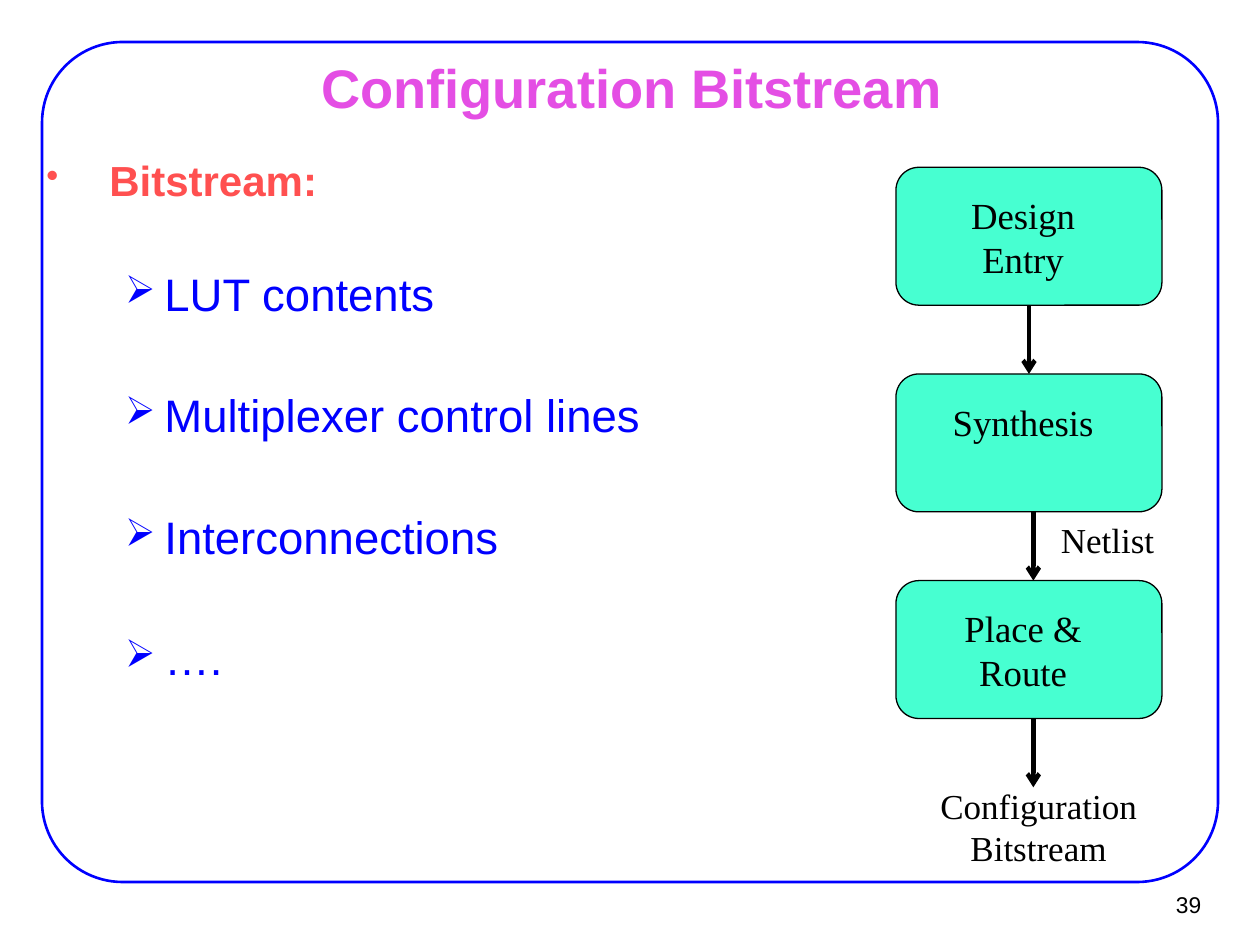
"""Build the Configuration Bitstream slide: a bullet list beside a design flow."""
from lxml import etree
from pptx import Presentation
from pptx.dml.color import RGBColor
from pptx.enum.shapes import MSO_CONNECTOR, MSO_SHAPE
from pptx.enum.text import MSO_ANCHOR, MSO_AUTO_SIZE, PP_ALIGN
from pptx.oxml.ns import qn
from pptx.util import Pt

ROUNDED = MSO_SHAPE.ROUNDED_RECTANGLE
STRAIGHT = MSO_CONNECTOR.STRAIGHT
MIDDLE = MSO_ANCHOR.MIDDLE
NO_FIT = MSO_AUTO_SIZE.NONE
LEFT, CENTER, RIGHT = PP_ALIGN.LEFT, PP_ALIGN.CENTER, PP_ALIGN.RIGHT
COLORS = {
    "frame": "0000FF",
    "title": "E44EE4",
    "heading": "FF5050",
    "item": "0000FF",
    "step": "47FFD1",
    "ink": "000000",
}


def style(paragraph, font_name, size, color, align, bold=False):
    """Set the font and alignment of a whole paragraph."""
    paragraph.alignment = align
    paragraph.font.name = font_name
    paragraph.font.size = Pt(size)
    paragraph.font.bold = bold
    paragraph.font.color.rgb = RGBColor.from_string(COLORS[color])


def add_label(page, text, left, top, width, height, size, font_name="Times New Roman", align=CENTER):
    """Add a wrapped text box holding one paragraph."""
    box = page.shapes.add_textbox(Pt(left), Pt(top), Pt(width), Pt(height))
    box.text_frame.word_wrap = True
    para = box.text_frame.paragraphs[0]
    para.text = text
    style(para, font_name, size, "ink", align)
    return box


deck = Presentation()
deck.slide_width, deck.slide_height = Pt(720), Pt(540)
page = deck.slides.add_slide(deck.slide_layouts[5])

frame = page.shapes.add_shape(ROUNDED, Pt(24), Pt(24), Pt(672), Pt(480))
frame.adjustments[0] = 0.096
frame.shadow.inherit = False
frame.fill.background()
frame.line.color.rgb = RGBColor.from_string(COLORS["frame"])
frame.line.width = Pt(1.5)

number = add_label(page, "39", 649.5, 503.5, 44, 26.5, 13, "Arial", RIGHT)
number.text_frame.vertical_anchor = MIDDLE

title = page.shapes.title
title.left, title.top, title.width, title.height = Pt(54.7), Pt(31.7), Pt(612), Pt(35.3)
title.text_frame.text = "Configuration Bitstream"
title.text_frame.auto_size = NO_FIT
title.text_frame.vertical_anchor = MIDDLE
style(title.text_frame.paragraphs[0], "Arial", 31, "title", CENTER, bold=True)

bullets = [
    ("Bitstream:", 0),
    ("LUT contents", 1),
    ("Multiplexer control lines", 1),
    ("Interconnections", 1),
    ("….", 1),
]
levels = [
    {"size": 24, "color": "heading", "bold": True, "bullet": "•", "margin": 36, "hang": 36},
    {"size": 26, "color": "item", "bold": False, "bullet": "➢", "margin": 67.5, "hang": 22.5},
]
gaps = [0, 37.2, 40.4, 40.4, 40.4]
body = page.shapes.add_textbox(Pt(19.4), Pt(87.1), Pt(467.3), Pt(409.7))
body.text_frame.word_wrap = True
for index, ((text, depth), gap) in enumerate(zip(bullets, gaps)):
    level = levels[depth]
    para = body.text_frame.add_paragraph() if index else body.text_frame.paragraphs[0]
    para.text = text
    para.level = depth
    para.line_spacing = 0.93
    para.space_before = Pt(gap)
    style(para, "Arial", level["size"], level["color"], LEFT, level["bold"])
    properties = para._p.get_or_add_pPr()
    properties.set("marL", str(Pt(level["margin"])))
    properties.set("indent", str(-Pt(level["hang"])))
    bullet_size = etree.Element(qn("a:buSzPct"), val="85000")
    bullet_char = etree.Element(qn("a:buChar"), char=level["bullet"])
    position = list(properties).index(properties.find(qn("a:defRPr")))
    properties.insert(position, bullet_size)
    properties.insert(position + 1, bullet_char)

step_left, step_top, step_width, step_height, pitch = 512, 95.6, 152, 78.8, 118.1
steps = []
for index, (text, text_height) in enumerate([("Design Entry", 58.3), ("Synthesis", 32.4), ("Place & Route", 58.3)]):
    top = step_top + index * pitch
    step = page.shapes.add_shape(ROUNDED, Pt(step_left), Pt(top), Pt(step_width), Pt(step_height))
    step.shadow.inherit = False
    step.fill.solid()
    step.fill.fore_color.rgb = RGBColor.from_string(COLORS["step"])
    step.line.color.rgb = RGBColor.from_string(COLORS["ink"])
    step.line.width = Pt(0.75)
    steps.append(step)
    add_label(page, text, step_left + 16.5, top + 11, 112.3, text_height, 21)

for index, x in enumerate([step_left + step_width / 2, 590.5, 590.5]):
    start = step_top + index * pitch + step_height
    end = step_top + (index + 1) * pitch
    arrow = page.shapes.add_connector(STRAIGHT, Pt(x), Pt(start), Pt(x), Pt(end))
    if index == 0:
        arrow.begin_connect(steps[0], 2)
        arrow.end_connect(steps[1], 0)
    arrow.line.color.rgb = RGBColor.from_string(COLORS["ink"])
    arrow.line.width = Pt(2.5)
    etree.SubElement(arrow.line._get_or_add_ln(), qn("a:tailEnd"), type="arrow")
    etree.SubElement(arrow._element.spPr, qn("a:effectLst"))

add_label(page, "Configuration Bitstream", 491.5, 445, 204, 55.5, 20)
add_label(page, "Netlist", 579.6, 293, 106.6, 31.7, 20)

deck.save("out.pptx")
